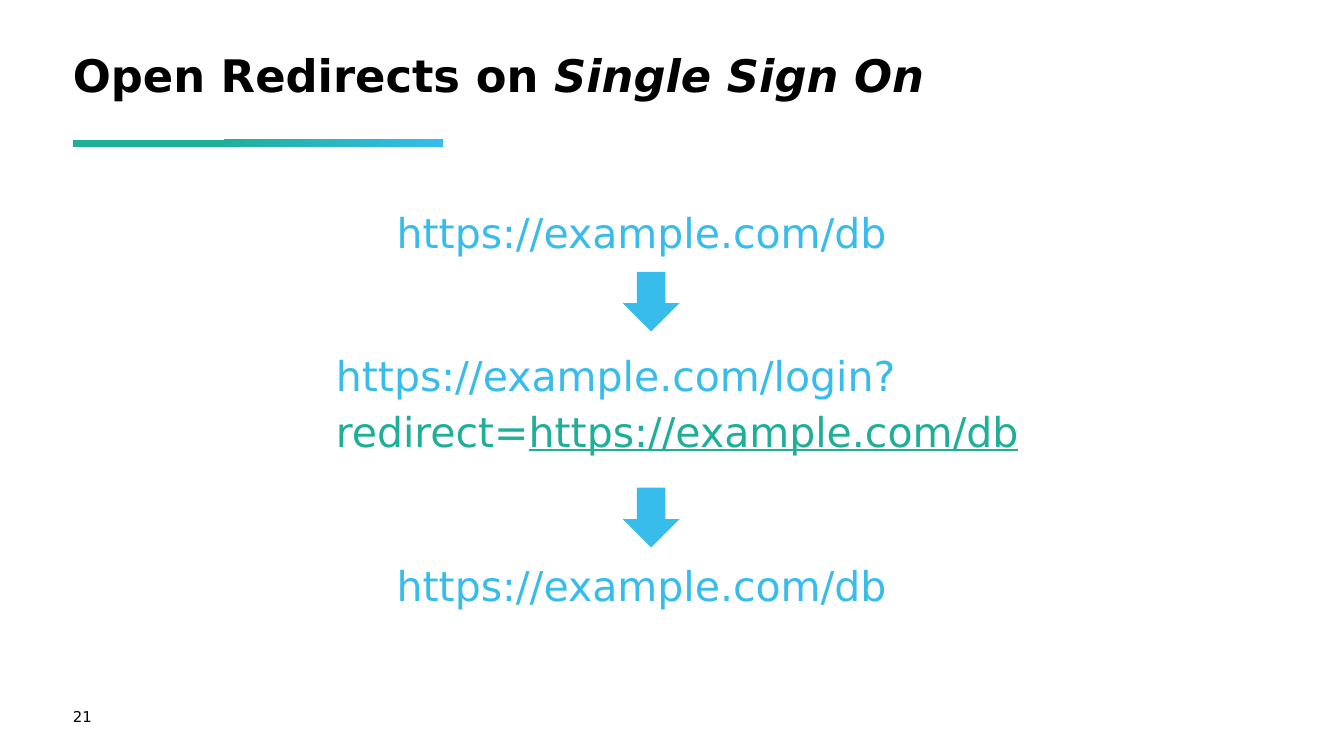
from pptx import Presentation
from pptx.dml.color import RGBColor
from pptx.enum.shapes import MSO_SHAPE
from pptx.enum.text import MSO_ANCHOR, MSO_AUTO_SIZE, PP_ALIGN
from pptx.util import Pt

BLACK = RGBColor(0x00, 0x00, 0x00)
GREEN = RGBColor(0x1F, 0xAF, 0x98)
BLUE = RGBColor(0x37, 0xBC, 0xEC)
FONT = "DejaVu Sans"
DB_URL = "https://example.com/db"


def format_frame(frame, anchor=MSO_ANCHOR.TOP):
    settings = {
        "margin_left": 0, "margin_top": 0, "margin_right": 0, "margin_bottom": 0,
        "word_wrap": True, "auto_size": MSO_AUTO_SIZE.NONE, "vertical_anchor": anchor,
    }
    for name, value in settings.items():
        setattr(frame, name, value)


def add_run(paragraph, text, size, color, **styles):
    run = paragraph.add_run()
    run.text = text
    run.font.color.rgb = color
    for name, value in {"name": FONT, "size": Pt(size), **styles}.items():
        setattr(run.font, name, value)


prs = Presentation()
prs.slide_width, prs.slide_height = Pt(720), Pt(405)
slide = prs.slides.add_slide(prs.slide_layouts[5])
shapes = slide.shapes

heading = shapes.title
heading_place = {"left": Pt(39), "top": Pt(29), "width": Pt(641), "height": Pt(26)}
for name, value in heading_place.items():
    setattr(heading, name, value)
format_frame(heading.text_frame)
heading_line = heading.text_frame.paragraphs[0]
heading_line.alignment = PP_ALIGN.LEFT
heading_line.line_spacing = 0.9
add_run(heading_line, "Open Redirects on ", 24, BLACK, bold=True)
add_run(heading_line, "Single Sign On", 24, BLACK, bold=True, italic=True)

underline = shapes.add_shape(MSO_SHAPE.RECTANGLE, Pt(39), Pt(75), Pt(198), Pt(3.8))
underline.shadow.inherit = False
underline.line.fill.background()
underline.fill.gradient()
underline.fill.gradient_angle = 330
for stop, position, color in zip(underline.fill.gradient_stops, (0.39, 1), (GREEN, BLUE)):
    stop.position = position
    stop.color.rgb = color

page_number = shapes.add_textbox(Pt(39), Pt(379), Pt(172), Pt(9.4)).text_frame
format_frame(page_number, MSO_ANCHOR.MIDDLE)
add_run(page_number.paragraphs[0], "21", 8, BLACK)

redirect_steps = [
    (212.5, 111, 300, [[(DB_URL, BLUE, False)]]),
    (180, 187.5, 387.5, [
        [("https://example.com/login?", BLUE, False)],
        [("redirect=", GREEN, False), (DB_URL, GREEN, True)],
    ]),
    (212.5, 300.5, 300, [[(DB_URL, BLUE, False)]]),
]
for left, top, width, lines in redirect_steps:
    step = shapes.add_textbox(Pt(left), Pt(top), Pt(width), Pt(57.5)).text_frame
    format_frame(step)
    for index, parts in enumerate(lines):
        line = step.add_paragraph() if index else step.paragraphs[0]
        line.space_before = line.space_after = Pt(2)
        for text, color, underlined in parts:
            add_run(line, text, 22, color, underline=underlined)

for top in (145.6, 261.3):
    arrow = shapes.add_shape(MSO_SHAPE.DOWN_ARROW, Pt(333.6), Pt(top), Pt(30.5), Pt(32))
    arrow.shadow.inherit = False
    arrow.fill.solid()
    arrow.fill.fore_color.rgb = BLUE
    arrow.line.fill.background()

prs.save("out.pptx")
